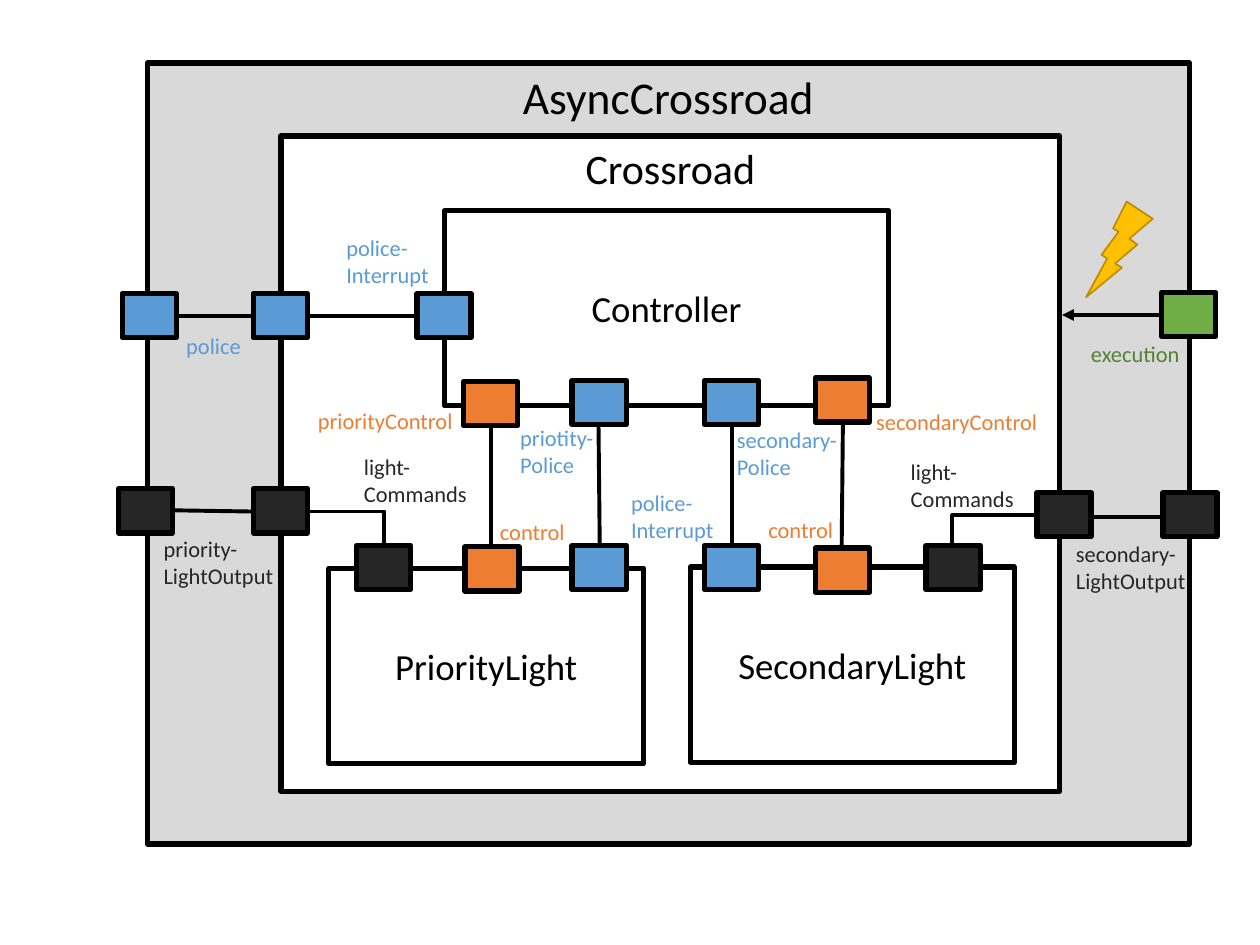
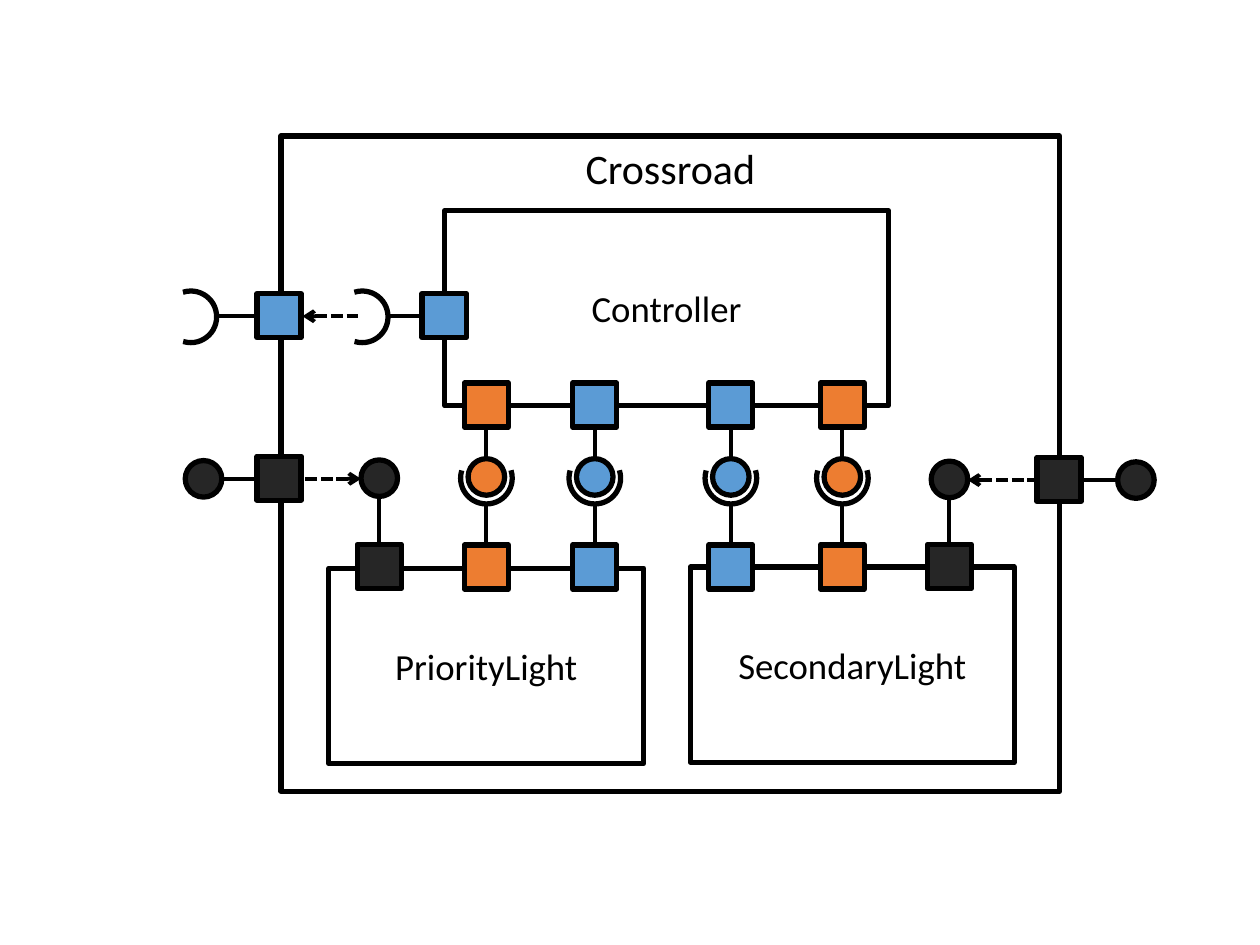
from lxml.etree import SubElement
from pptx import Presentation
from pptx.dml.color import RGBColor
from pptx.enum.dml import MSO_LINE
from pptx.enum.shapes import MSO_CONNECTOR, MSO_SHAPE
from pptx.enum.text import MSO_ANCHOR, MSO_AUTO_SIZE, PP_ALIGN
from pptx.oxml.ns import qn
from pptx.util import Inches, Pt

BLACK = RGBColor(0x00, 0x00, 0x00)
WHITE = RGBColor(0xFF, 0xFF, 0xFF)
GREY = RGBColor(0xD9, 0xD9, 0xD9)
DARK = RGBColor(0x26, 0x26, 0x26)
BLUE = RGBColor(0x5B, 0x9B, 0xD5)
ORANGE = RGBColor(0xED, 0x7D, 0x31)
GREEN = RGBColor(0x70, 0xAD, 0x47)
DARK_GREEN = RGBColor(0x54, 0x82, 0x35)
GOLD = RGBColor(0xFF, 0xC0, 0x00)
DARK_GOLD = RGBColor(0xBD, 0x8E, 0x00)


def write(tf, text, size=12.8, color=BLACK, align=PP_ALIGN.LEFT, anchor=MSO_ANCHOR.TOP):
    tf.word_wrap = True
    tf.vertical_anchor = anchor
    p = tf.paragraphs[0]
    p.alignment = align
    r = p.add_run()
    r.text = text
    r.font.name = "Calibri"
    r.font.size = Pt(size)
    r.font.color.rgb = color


class Diagram:
    """Draws component diagrams on a grid of 100 columns by 75 rows."""

    def __init__(self, prs):
        self.prs = prs
        self.unit = prs.slide_width / 100

    def start(self, port_width):
        self.shapes = self.prs.slides.add_slide(self.prs.slide_layouts[6]).shapes
        self.port_width = port_width

    def grid(self, *cells):
        return [round(cell * self.unit) for cell in cells]

    def shape(self, kind, x, y, w, h, fill=None, line=BLACK, weight=3):
        sp = self.shapes.add_shape(kind, *self.grid(x, y, w, h))
        sp.shadow.inherit = False
        if fill is None:
            sp.fill.background()
        else:
            sp.fill.solid()
            sp.fill.fore_color.rgb = fill
        sp.line.color.rgb = line
        sp.line.width = Pt(weight)
        return sp

    def box(self, text, x, y, w, h, size=21, fill=WHITE, anchor=MSO_ANCHOR.MIDDLE):
        sp = self.shape(MSO_SHAPE.RECTANGLE, x, y, w, h, fill)
        write(sp.text_frame, text, size=size, align=PP_ALIGN.CENTER, anchor=anchor)

    def crossroad(self):
        self.box("Crossroad", 22.3, 10.8, 61.8, 52, size=24, anchor=MSO_ANCHOR.TOP)
        self.box("Controller", 35.3, 16.7, 35.2, 15.5)
        self.box("PriorityLight", 26.1, 45.1, 25, 15.5)
        self.box("SecondaryLight", 54.8, 45, 25.7, 15.5)

    def port(self, center, top, color):
        left = center - self.port_width / 2
        self.shape(MSO_SHAPE.RECTANGLE, left, top, self.port_width, 3.5, color)

    def ball(self, center, top, color):
        self.shape(MSO_SHAPE.OVAL, center - 1.45, top, 2.9, 2.9, color)

    def socket(self, center, top, rotation=0):
        sp = self.shape(MSO_SHAPE.ARC, center - 2.05, top, 4.1, 4.1)
        sp.adjustments[0], sp.adjustments[1] = 151.34, 64.4
        sp.rotation = rotation

    def bolt(self, x, y, w, h):
        sp = self.shape(MSO_SHAPE.LIGHTNING_BOLT, x, y, w, h, GOLD, DARK_GOLD, 1)
        sp.element.spPr.find(qn("a:xfrm")).set("flipH", "1")

    def label(self, text, x, y, w, color, lines=1, align=PP_ALIGN.LEFT):
        tb = self.shapes.add_textbox(*self.grid(x, y, w, 1.1 + 2.1 * lines))
        write(tb.text_frame, text, color=color, align=align)
        tb.text_frame.auto_size = MSO_AUTO_SIZE.SHAPE_TO_FIT_TEXT

    def link(self, x1, y1, x2, y2, bent=False, dashed=False, end=None, arrow="triangle"):
        kind = MSO_CONNECTOR.ELBOW if bent else MSO_CONNECTOR.STRAIGHT
        c = self.shapes.add_connector(kind, *self.grid(x1, y1, x2, y2))
        c.line.color.rgb = BLACK
        c.line.width = Pt(2.25)
        if dashed:
            c.line.dash_style = MSO_LINE.SQUARE_DOT
        spPr = c.element.spPr
        if bent:
            spPr.find(qn("a:prstGeom")).set("prst", "bentConnector2")
        if end:
            SubElement(spPr.find(qn("a:ln")), qn("a:" + end)).set("type", arrow)
        SubElement(spPr, qn("a:effectLst"))


def async_crossroad(d):
    d.start(port_width=4.3)
    d.box("AsyncCrossroad", 11.7, 5, 82.7, 62, size=26, fill=GREY, anchor=MSO_ANCHOR.TOP)
    d.crossroad()

    for ends in [(24.4, 25.1, 33.1, 25.1), (14, 25.1, 20.1, 25.1),
                 (13.7, 40.5, 20.1, 40.6), (92.3, 41, 86.6, 41),
                 (39, 43.4, 39, 33.8), (47.6, 43.3, 47.5, 33.7),
                 (58.1, 43.3, 58.1, 33.7), (66.8, 43.5, 66.9, 33.5)]:
        d.link(*ends)
    d.link(24.4, 40.6, 30.5, 43.3, bent=True)
    d.link(82.3, 40.9, 75.6, 43.3, bent=True)
    d.link(92.2, 25, 84.3, 25, end="tailEnd")

    for center, top, color in [
            (11.85, 23.3, BLUE), (22.25, 23.3, BLUE), (35.25, 23.3, BLUE),
            (11.55, 38.8, DARK), (22.25, 38.8, DARK),
            (84.45, 39.1, DARK), (94.45, 39.1, DARK), (94.35, 23.2, GREEN),
            (38.95, 30.3, ORANGE), (47.55, 30.2, BLUE),
            (58.05, 30.2, BLUE), (66.85, 30, ORANGE),
            (30.45, 43.3, DARK), (39.05, 43.4, ORANGE), (47.55, 43.3, BLUE),
            (58.05, 43.3, BLUE), (66.85, 43.5, ORANGE), (75.65, 43.3, DARK)]:
        d.port(center, top, color)

    for text, x, y, w, color in [
            ("police-Interrupt", 26.5, 18.1, 9.4, BLUE),
            ("priotity-Police", 40.3, 33.2, 9.5, BLUE),
            ("secondary-Police", 57.5, 33.3, 10.7, BLUE),
            ("police-Interrupt", 49.1, 38.3, 8.8, BLUE),
            ("light-Commands", 27.9, 35.5, 10.4, DARK),
            ("light-Commands", 71.3, 35.9, 10.4, DARK),
            ("priority-LightOutput", 12, 42, 13.3, DARK),
            ("secondary-LightOutput", 84.4, 42.4, 10.9, DARK)]:
        d.label(text, x, y, w, color, lines=2)
    for text, x, y, w, color in [
            ("police", 12.4, 25.9, 7.7, BLUE),
            ("priorityControl", 24, 31.8, 12.9, ORANGE),
            ("secondaryControl", 68.2, 31.9, 15.1, ORANGE),
            ("control", 33.1, 40.6, 12.7, ORANGE),
            ("control", 59.6, 40.5, 7.5, ORANGE)]:
        d.label(text, x, y, w, color, align=PP_ALIGN.RIGHT)
    d.label("execution", 85.6, 26.5, 10.9, DARK_GREEN)
    d.bolt(86.2, 16, 5.3, 7.6)


def crossroad(d):
    d.start(port_width=3.5)
    d.crossroad()

    for center, color in [(38.6, ORANGE), (47.2, BLUE), (58, BLUE), (66.85, ORANGE)]:
        d.link(center, 36.4, center, 33.9)
        d.link(center, 43.3, center, 40)
        d.port(center, 30.4, color)
        d.port(center, 43.25, color)
        d.ball(center, 36.4, color)
        d.socket(center, 35.9, rotation=90)

    for socket, port, link_end in [(15.15, 22.15, 20.4), (28.75, 35.25, 33.5)]:
        d.link(socket + 2.05, 25.1, link_end, 25.1)
        d.socket(socket, 23.1)
        d.port(port, 23.3, BLUE)
    d.link(24, 25.1, 28.6, 25.1, dashed=True, end="headEnd", arrow="arrow")

    for outer, port, inner, y, side in [(16.15, 22.15, 30.1, 38, 1),
                                        (90.15, 84.05, 75.35, 38.1, -1)]:
        d.link(outer + side * 1.45, y, port - side * 1.75, y)
        d.link(inner - side * 1.45, y, port + side * 1.75, y,
               dashed=True, end="headEnd", arrow="arrow")
        d.link(inner, 43.2, inner, y + 1.4)
        d.port(port, y - 1.8, DARK)
        d.port(inner, 43.2, DARK)
        d.ball(outer, y - 1.45, DARK)
        d.ball(inner, y - 1.5, DARK)


prs = Presentation()
prs.slide_width, prs.slide_height = Inches(10), Inches(7.5)
diagram = Diagram(prs)
async_crossroad(diagram)
crossroad(diagram)
prs.save("out.pptx")
